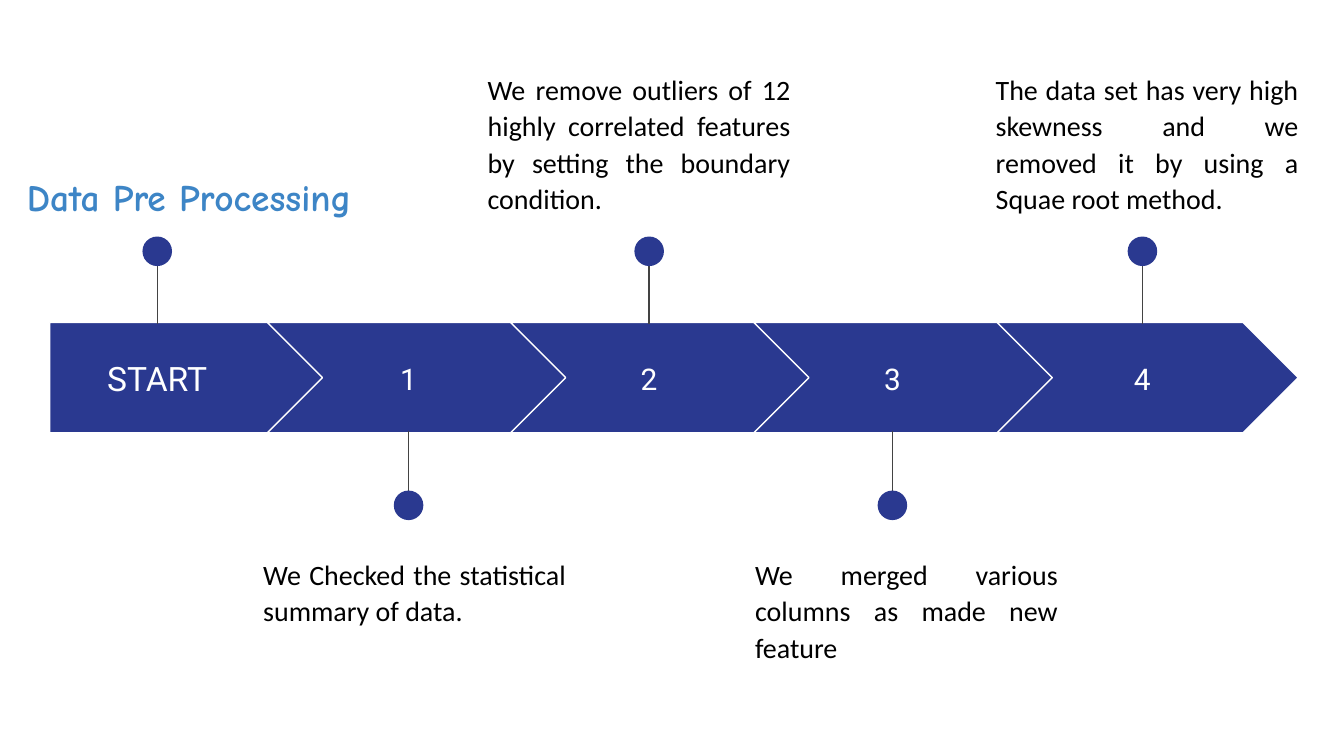
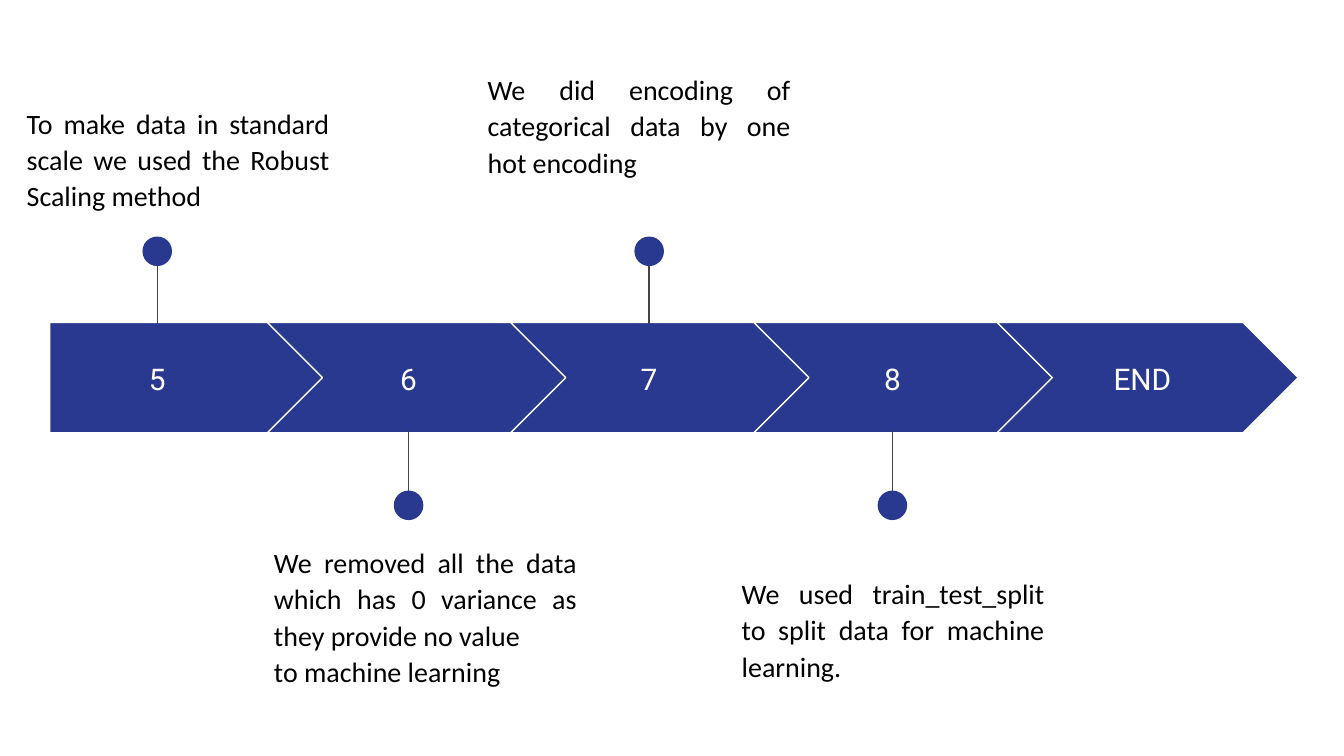
from dataclasses import dataclass

from lxml import etree
from pptx import Presentation
from pptx.dml.color import RGBColor
from pptx.enum.shapes import MSO_CONNECTOR, MSO_SHAPE
from pptx.enum.text import MSO_ANCHOR, MSO_AUTO_SIZE, PP_ALIGN
from pptx.oxml.ns import qn
from pptx.util import Inches, Pt

NAVY = RGBColor(0x2A, 0x39, 0x90)
SKY = RGBColor(0x3D, 0x85, 0xC6)
GRAY = RGBColor(0x43, 0x43, 0x43)
BLACK = RGBColor(0, 0, 0)
WHITE = RGBColor(255, 255, 255)

PENTAGON = MSO_SHAPE.PENTAGON
CHEVRON = MSO_SHAPE.CHEVRON
OVAL = MSO_SHAPE.OVAL
STRAIGHT = MSO_CONNECTOR.STRAIGHT
TOP = MSO_ANCHOR.TOP
MIDDLE = MSO_ANCHOR.MIDDLE
NO_FIT = MSO_AUTO_SIZE.NONE
CENTER = PP_ALIGN.CENTER
JUSTIFY = PP_ALIGN.JUSTIFY

SLIDE_WIDTH = Inches(10)
SLIDE_HEIGHT = SLIDE_WIDTH * 9 // 16
TITLE_LAYOUT, BLANK_LAYOUT = 5, 6
BAND_TOP, BAND_HEIGHT = 2.4, 0.82
FIRST_LEFT, FIRST_WIDTH = 0.37, 2.05
CHEVRON_LEFT, CHEVRON_WIDTH, CHEVRON_STEP = 1.99, 2.24, 1.81
STAGE_CENTERS = (1.17, 3.04, 4.83, 6.64, 8.5)
LABEL_TOP, LABEL_WIDTH, LABEL_HEIGHT = 2.56, 1.44, 0.51
NOTE_WIDTH, NOTE_HEIGHT = 2.45, 0.99
DOT_SIZE = 0.22


@dataclass(frozen=True)
class TextStyle:
    font: str
    size: int
    color: RGBColor
    alignment: PP_ALIGN
    anchor: MSO_ANCHOR = TOP
    spacing: float = 1.0
    bold: bool = False


@dataclass(frozen=True)
class Note:
    left: float
    top: float
    text: str


@dataclass(frozen=True)
class Stage:
    label: str
    note: Note | None = None
    has_pin: bool = True
    label_size: int = 16


@dataclass(frozen=True)
class Timeline:
    stages: tuple[Stage, ...]
    title: str = ""


NOTE_STYLE = TextStyle("Calibri", 15, BLACK, JUSTIFY, spacing=1.08)
TITLE_STYLE = TextStyle("Comic Neue", 20, SKY, JUSTIFY, spacing=1.08, bold=True)

TIMELINES = (
    Timeline(
        title="Data Pre Processing",
        stages=(
            Stage("START", label_size=18),
            Stage("1", Note(1.86, 4.03, "We Checked the statistical summary of data.")),
            Stage("2", Note(3.53, 0.42, "We remove outliers of 12 highly correlated features "
                                        "by setting the boundary condition.")),
            Stage("3", Note(5.52, 4.03, "We merged various columns as made new feature")),
            Stage("4", Note(7.31, 0.42, "The data set has very high skewness and we removed it "
                                        "by using a Squae root method.")),
        ),
    ),
    Timeline(
        stages=(
            Stage("5", Note(0.1, 0.67, "To make data in standard scale we used the "
                                       "Robust Scaling method")),
            Stage("6", Note(1.94, 3.94, "We removed all the data which has 0 variance as they "
                                        "provide no value\nto machine learning")),
            Stage("7", Note(3.53, 0.42, "We did encoding of categorical data by one hot encoding")),
            Stage("8", Note(5.42, 4.17, "We used train_test_split to split data for "
                                        "machine learning.")),
            Stage("END", has_pin=False),
        ),
    ),
)


def write_text(shape, text: str, style: TextStyle) -> None:
    frame = shape.text_frame
    frame.text = text
    frame.word_wrap = True
    frame.auto_size = NO_FIT
    frame.vertical_anchor = style.anchor
    frame.margin_left = frame.margin_right = Inches(0.1)
    frame.margin_top = frame.margin_bottom = Inches(0.1)
    for paragraph in frame.paragraphs:
        paragraph.alignment = style.alignment
        paragraph.line_spacing = style.spacing
        paragraph.font.name = style.font
        paragraph.font.size = Pt(style.size)
        paragraph.font.bold = style.bold
        paragraph.font.color.rgb = style.color


def add_text(slide, left: float, top: float, width: float, height: float,
             text: str, style: TextStyle) -> None:
    box = slide.shapes.add_textbox(Inches(left), Inches(top), Inches(width), Inches(height))
    write_text(box, text, style)


def set_title(slide, text: str) -> None:
    title = slide.shapes.title
    title.left, title.top = Inches(0.1), Inches(1.17)
    title.width, title.height = Inches(3.18), Inches(0.99)
    write_text(title, text, TITLE_STYLE)


def add_band_segment(slide, index: int) -> None:
    if index == 0:
        kind, left, width = PENTAGON, FIRST_LEFT, FIRST_WIDTH
    else:
        kind, width = CHEVRON, CHEVRON_WIDTH
        left = CHEVRON_LEFT + CHEVRON_STEP * (index - 1)
    segment = slide.shapes.add_shape(
        kind, Inches(left), Inches(BAND_TOP), Inches(width), Inches(BAND_HEIGHT))
    segment.shadow.inherit = False
    segment.fill.solid()
    segment.fill.fore_color.rgb = NAVY
    segment.line.color.rgb = WHITE
    segment.line.width = Pt(0.75)


def add_pin(slide, center: float, above: bool) -> None:
    start, end, dot_top = (1.8, 2.41, 1.76) if above else (3.82, 3.21, 3.65)
    group = slide.shapes.add_group_shape()
    stem = group.shapes.add_connector(
        STRAIGHT, Inches(center), Inches(start), Inches(center), Inches(end))
    stem.line.color.rgb = GRAY
    stem.line.width = Pt(0.75)
    etree.SubElement(stem._element.spPr, qn("a:effectLst"))
    dot = group.shapes.add_shape(
        OVAL, Inches(center - DOT_SIZE / 2), Inches(dot_top), Inches(DOT_SIZE), Inches(DOT_SIZE))
    dot.shadow.inherit = False
    dot.fill.solid()
    dot.fill.fore_color.rgb = NAVY
    dot.line.fill.background()


def add_stage(slide, index: int, stage: Stage) -> None:
    center = STAGE_CENTERS[index]
    add_band_segment(slide, index)
    label_style = TextStyle("Roboto", stage.label_size, WHITE, CENTER, MIDDLE)
    add_text(slide, center - LABEL_WIDTH / 2, LABEL_TOP, LABEL_WIDTH, LABEL_HEIGHT,
             stage.label, label_style)
    if stage.has_pin:
        add_pin(slide, center, above=index % 2 == 0)
    if stage.note:
        add_text(slide, stage.note.left, stage.note.top, NOTE_WIDTH, NOTE_HEIGHT,
                 stage.note.text, NOTE_STYLE)


def add_timeline(presentation, timeline: Timeline) -> None:
    layout = TITLE_LAYOUT if timeline.title else BLANK_LAYOUT
    slide = presentation.slides.add_slide(presentation.slide_layouts[layout])
    if timeline.title:
        set_title(slide, timeline.title)
    for index, stage in enumerate(timeline.stages):
        add_stage(slide, index, stage)


def main() -> None:
    presentation = Presentation()
    presentation.slide_width = SLIDE_WIDTH
    presentation.slide_height = SLIDE_HEIGHT
    for timeline in TIMELINES:
        add_timeline(presentation, timeline)
    presentation.save("out.pptx")


if __name__ == "__main__":
    main()
